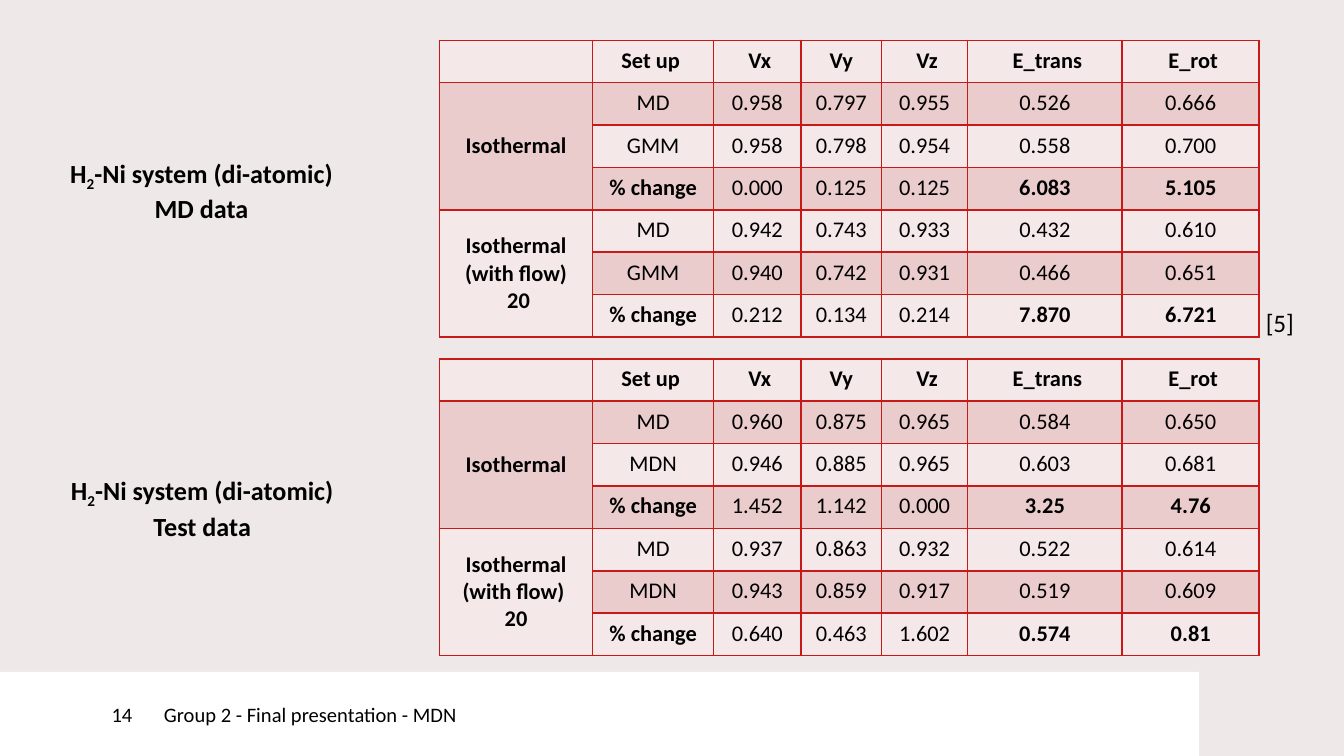
from lxml import etree
from pptx import Presentation, util as u
from pptx.dml.color import RGBColor
from pptx.enum import shapes, text
from pptx.oxml.ns import qn

COLORS = {"background": "EEE8E8", "footer": "FFFFFF", "text": "000000",
          "light": "F5E8E8", "dark": "EBCCCC", "border": "C81919"}

# 16:9 slide
prs = Presentation()
prs.slide_width = u.Inches(10)
prs.slide_height = prs.slide_width * 9 // 16
slide = prs.slides.add_slide(prs.slide_layouts[6])
slide.background.fill.solid()
slide.background.fill.fore_color.rgb = RGBColor.from_string(COLORS["background"])


def style(paragraph, size, bold=False, align=text.PP_ALIGN.LEFT):
    paragraph.alignment = align
    paragraph.font.name = "Calibri"
    paragraph.font.size = u.Pt(size)
    paragraph.font.bold = bold
    paragraph.font.color.rgb = RGBColor.from_string(COLORS["text"])


def add_borders(cell):
    props = cell._tc.get_or_add_tcPr()
    for position, side in enumerate(("lnL", "lnR", "lnT", "lnB")):
        line = etree.Element(qn(f"a:{side}"), w=str(u.Pt(1)))
        fill = etree.SubElement(line, qn("a:solidFill"))
        etree.SubElement(fill, qn("a:srgbClr"), val=COLORS["border"])
        props.insert(position, line)


# Footer: text band, then slide number
footer_top, number_width = 5, 1.22
for label, left, width, inset in (
        ("Group 2 - Final presentation - MDN", number_width, 7.7, 0),
        ("14", 0, number_width, 0.83)):
    band = slide.shapes.add_shape(
        shapes.MSO_SHAPE.RECTANGLE, u.Inches(left), u.Inches(footer_top),
        u.Inches(width), prs.slide_height - u.Inches(footer_top))
    band.shadow.inherit = False
    band.fill.solid()
    band.fill.fore_color.rgb = RGBColor.from_string(COLORS["footer"])
    band.line.fill.background()
    frame = band.text_frame
    frame.margin_left = u.Inches(inset)
    frame.margin_right = frame.margin_top = frame.margin_bottom = 0
    frame.vertical_anchor = text.MSO_ANCHOR.MIDDLE
    frame.text = label
    style(frame.paragraphs[0], 11)

# Results: one table and one caption for each data set
columns = [1.14, 0.9, 0.65, 0.6, 0.64, 1.15, 1.02]
table_left, table_height, row_count = 3.27, 2.21, 7
header = ["", "Set up ", " Vx", "Vy", " Vz", " E_trans", " E_rot"]
data_sets = [
    ("MD data", 0.3, (-0.2, 1.12, 3.4), "Isothermal\n(with flow)\n 20", [
        "MD|0.958|0.797|0.955|0.526|0.666",
        "GMM|0.958|0.798|0.954|0.558|0.700",
        "% change|0.000|0.125|0.125|6.083|5.105",
        "MD|0.942|0.743|0.933|0.432|0.610",
        "GMM|0.940|0.742|0.931|0.466|0.651",
        "% change|0.212|0.134|0.214|7.870|6.721"]),
    ("Test data", 2.67, (-0.26, 3.48, 3.53), "Isothermal\n(with flow) \n20", [
        "MD|0.960|0.875|0.965|0.584|0.650",
        "MDN|0.946|0.885|0.965|0.603|0.681",
        "% change|1.452|1.142|0.000|3.25|4.76",
        "MD|0.937|0.863|0.932|0.522|0.614",
        "MDN|0.943|0.859|0.917|0.519|0.609",
        "% change|0.640|0.463|1.602|0.574|0.81"]),
]
for data_name, table_top, (left, top, width), flow_label, results in data_sets:
    table = slide.shapes.add_table(
        row_count, len(columns), u.Inches(table_left), u.Inches(table_top),
        u.Inches(sum(columns)), u.Inches(table_height)).table
    for column, column_width in zip(table.columns, columns):
        column.width = u.Inches(column_width)

    group_labels = {1: "Isothermal", 4: flow_label}
    rows = [header] + [[group_labels.get(number, "")] + result.split("|")
                       for number, result in enumerate(results, 1)]
    for r, values in enumerate(rows):
        is_change = r in (3, 6)
        for c, value in enumerate(values):
            cell = table.cell(r, c)
            cell.fill.solid()
            cell.fill.fore_color.rgb = RGBColor.from_string(
                COLORS["dark" if r % 2 else "light"])
            add_borders(cell)
            cell.text = value
            bold = r == 0 or c == 0 or (is_change and c in (1, 5, 6))
            for paragraph in cell.text_frame.paragraphs:
                style(paragraph, 12, bold, text.PP_ALIGN.CENTER)
    for first in group_labels:
        group = table.cell(first, 0)
        group.merge(table.cell(first + 2, 0))
        group.vertical_anchor = text.MSO_ANCHOR.MIDDLE

    # Caption with a subscript in the formula
    caption = slide.shapes.add_textbox(
        u.Inches(left), u.Inches(top), u.Inches(width), u.Inches(0.57)).text_frame
    caption.word_wrap = True
    system = caption.paragraphs[0]
    for part in ("H", "2", "-Ni system (di-atomic)"):
        run = system.add_run()
        run.text = part
        if part == "2":
            run._r.get_or_add_rPr().set("baseline", "-25000")
    caption.add_paragraph().text = data_name
    for paragraph in caption.paragraphs:
        style(paragraph, 14, True, text.PP_ALIGN.CENTER)

# Citation mark
citation = slide.shapes.add_textbox(
    u.Inches(9.32), u.Inches(2.24), u.Inches(0.67), u.Inches(0.33)).text_frame
citation.word_wrap = True
citation.text = "[5]"
style(citation.paragraphs[0], 13.5)

prs.save("out.pptx")
